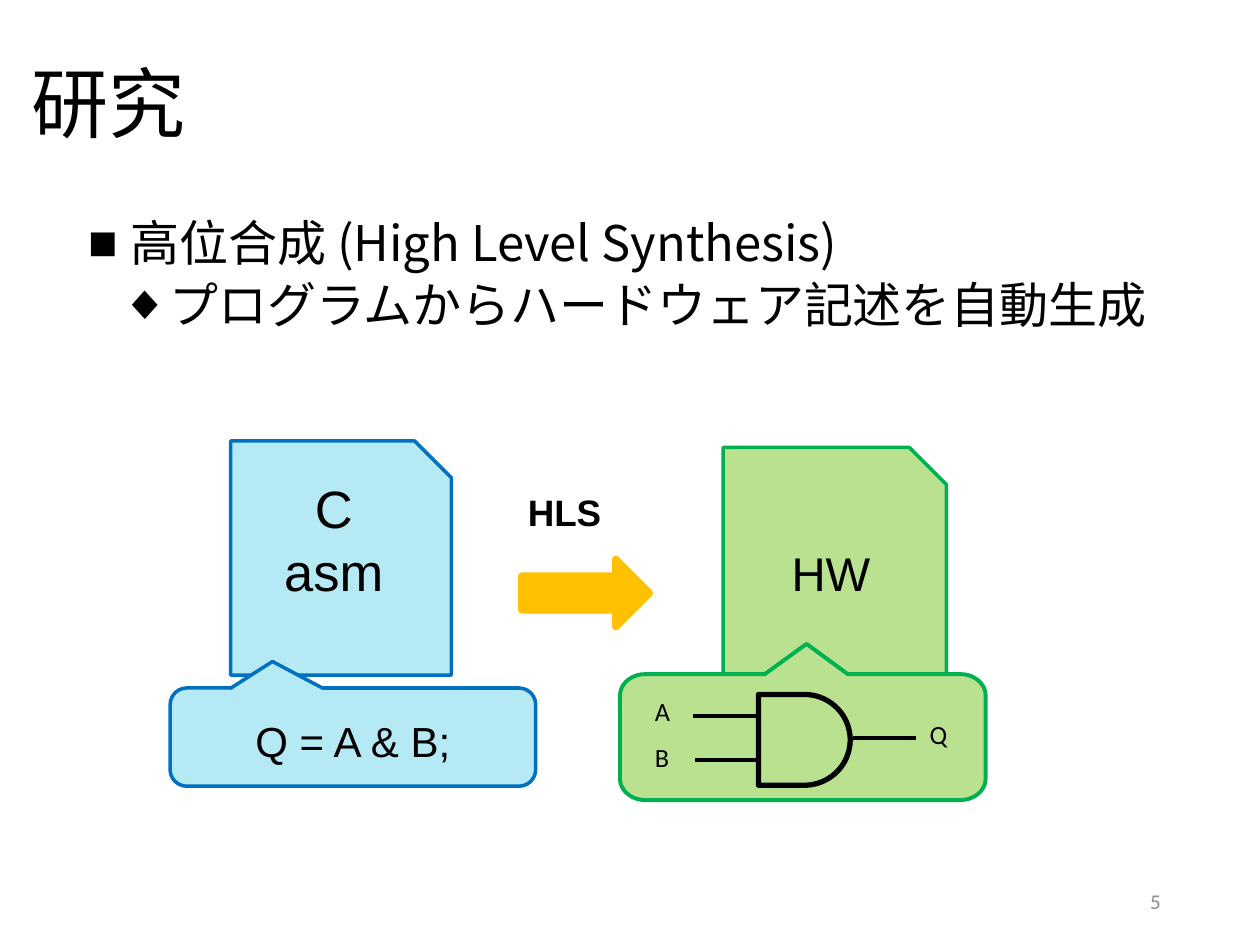
from math import cos, sin, radians
from lxml.etree import SubElement
from pptx import Presentation
from pptx.dml.color import RGBColor
from pptx.enum.shapes import MSO_CONNECTOR, MSO_SHAPE as SHAPE
from pptx.enum.text import MSO_ANCHOR as ANCHOR, MSO_AUTO_SIZE as FIT, PP_ALIGN as ALIGN
from pptx.oxml.ns import qn
from pptx.util import Cm, Pt

JP = "Noto Sans CJK JP"
BLACK, GRAY, ORANGE = "000000", "8C8C8C", "FFC000"
BLUE, GREEN = ("B5E9F4", "0070C0"), ("BAE18F", "00B050")

TITLE = "研究"
BULLETS = [
    ("高位合成 (High Level Synthesis)", "■", 0.86, 0.86, 0),
    ("プログラムからハードウェア記述を自動生成", "◆", 1.63, 0.97, 5),
]
FILES = [
    (["C", "asm"], 30, (4.65, 8.89, 4.45, 4.72), BLUE, (0.23, 0.15, 0.15, 1.3)),
    (["HW"], 27, (14.58, 9.02, 4.5, 4.6), GREEN, (0.3, 0.15, 0.08, 0.08)),
]
CODE = ["Q = A & B;"]
CODE_BOX = (3.43, 13.87, 7.37, 1.98)
GATE_BOX = (12.5, 13.59, 7.37, 2.54)
GATE_POINTER = [(15.42, 13.59), (16.26, 12.98), (17.09, 13.59)]
WIRES = [(13.97, 14.43), (14.02, 15.32), (17.2, 14.88)]
WIRE_LENGTH = 1.27
PINS = [("A", 12.95, 13.89), ("B", 12.95, 14.81), ("Q", 18.49, 14.35)]

prs = Presentation()
prs.slide_width, prs.slide_height = Cm(25.4), Cm(19.05)
slide = prs.slides.add_slide(prs.slide_layouts[1])
shapes = slide.shapes


def rgb(value):
    return RGBColor.from_string(value)


def cm(values):
    return [Cm(v) for v in values]


def place(sp, box):
    sp.left, sp.top, sp.width, sp.height = cm(box)


def style_runs(p, size, font, color=BLACK, bold=False):
    for r in p.runs:
        r.font.size, r.font.name, r.font.bold = Pt(size), font, bold
        r.font.color.rgb = rgb(color)
        if font == JP:
            SubElement(r._r.get_or_add_rPr(), qn("a:ea"), typeface=font)


def write(sp, lines, size, font, color=BLACK, align=ALIGN.LEFT,
          anchor=ANCHOR.MIDDLE, insets=None, bold=False, wrap=True):
    tf = sp.text_frame
    tf.text = "\n".join(lines)
    tf.word_wrap, tf.auto_size, tf.vertical_anchor = wrap, FIT.NONE, anchor
    if insets:
        tf.margin_left, tf.margin_top, tf.margin_right, tf.margin_bottom = cm(insets)
    for p in tf.paragraphs:
        p.alignment = align
        style_runs(p, size, font, color, bold)
    return tf


def paint(sp, fill, line, width):
    sp.shadow.inherit = False
    if fill:
        sp.fill.solid()
        sp.fill.fore_color.rgb = rgb(fill)
    else:
        sp.fill.background()
    sp.line.color.rgb, sp.line.width = rgb(line), Pt(width)


def add_shape(kind, box, fill, line, width):
    sp = shapes.add_shape(kind, *cm(box))
    paint(sp, fill, line, width)
    return sp


def add_label(text, box, size, font, **options):
    write(shapes.add_textbox(*cm(box)), [text], size, font, **options)


def callout_outline(box, pointer, rx=0.51, ry=0.43):
    x, y, w, h = box
    corners = [(x + w - rx, y + ry, 270), (x + w - rx, y + h - ry, 0),
               (x + rx, y + h - ry, 90), (x + rx, y + ry, 180)]
    arcs = [(cx + rx * cos(radians(start + a)), cy + ry * sin(radians(start + a)))
            for cx, cy, start in corners for a in range(0, 91, 10)]
    return [tuple(cm(point)) for point in pointer + arcs]


title = shapes.title
place(title, (0.38, 0.33, 21.89, 3.68))
write(title, [TITLE], 44, JP).paragraphs[0].line_spacing = 0.9

body = slide.placeholders[1]
place(body, (1.52, 4.29, 22.33, 4.19))
tf = write(body, [b[0] for b in BULLETS], 28, JP, anchor=ANCHOR.TOP)
for level, (p, (_, mark, margin, hang, before)) in enumerate(zip(tf.paragraphs, BULLETS)):
    p.level, p.line_spacing, p.space_before = level, 0.9, Pt(before)
    pPr = p._p.get_or_add_pPr()
    pPr.set("marL", str(Cm(margin)))
    pPr.set("indent", str(-Cm(hang)))
    SubElement(pPr, qn("a:buChar"), char=mark)

add_label("5", (17.93, 17.65, 5.72, 1.02), 12, "Calibri", color=GRAY, align=ALIGN.RIGHT)

for lines, size, box, (fill, line), insets in FILES:
    sp = add_shape(SHAPE.SNIP_1_RECTANGLE, box, fill, line, 2)
    write(sp, lines, size, "Arial", align=ALIGN.CENTER, insets=insets)

add_shape(SHAPE.RIGHT_ARROW, (10.52, 11.28, 2.57, 1.35), ORANGE, ORANGE, 4.33)
add_label("HLS", (10.39, 9.75, 2.92, 1.14), 21, "Arial", anchor=ANCHOR.TOP, bold=True)

outline = callout_outline(GATE_BOX, GATE_POINTER)
builder = shapes.build_freeform(*outline[0])
builder.add_line_segments(outline[1:], close=True)
paint(builder.convert_to_shape(), *GREEN, 2.25)

add_shape(SHAPE.FLOWCHART_DELAY, (15.29, 14, 1.85, 1.83), None, BLACK, 3)
for x, y in WIRES:
    wire = shapes.add_connector(MSO_CONNECTOR.STRAIGHT, *cm((x, y, x + WIRE_LENGTH, y)))
    wire.line.color.rgb, wire.line.width = rgb(BLACK), Pt(2.25)
    SubElement(wire._element.spPr, qn("a:effectLst"))
for text, x, y in PINS:
    add_label(text, (x, y, 1.25, 1.14), 15, "Calibri", anchor=ANCHOR.TOP, wrap=False)

code = add_shape(SHAPE.ROUNDED_RECTANGULAR_CALLOUT, CODE_BOX, *BLUE, 2)
for i, value in enumerate((-0.22, -0.77, 0.17)):
    code.adjustments[i] = value
write(code, CODE, 24, "Arial", align=ALIGN.CENTER, insets=(0, 0.46, 0, 0.3))

prs.save("out.pptx")
